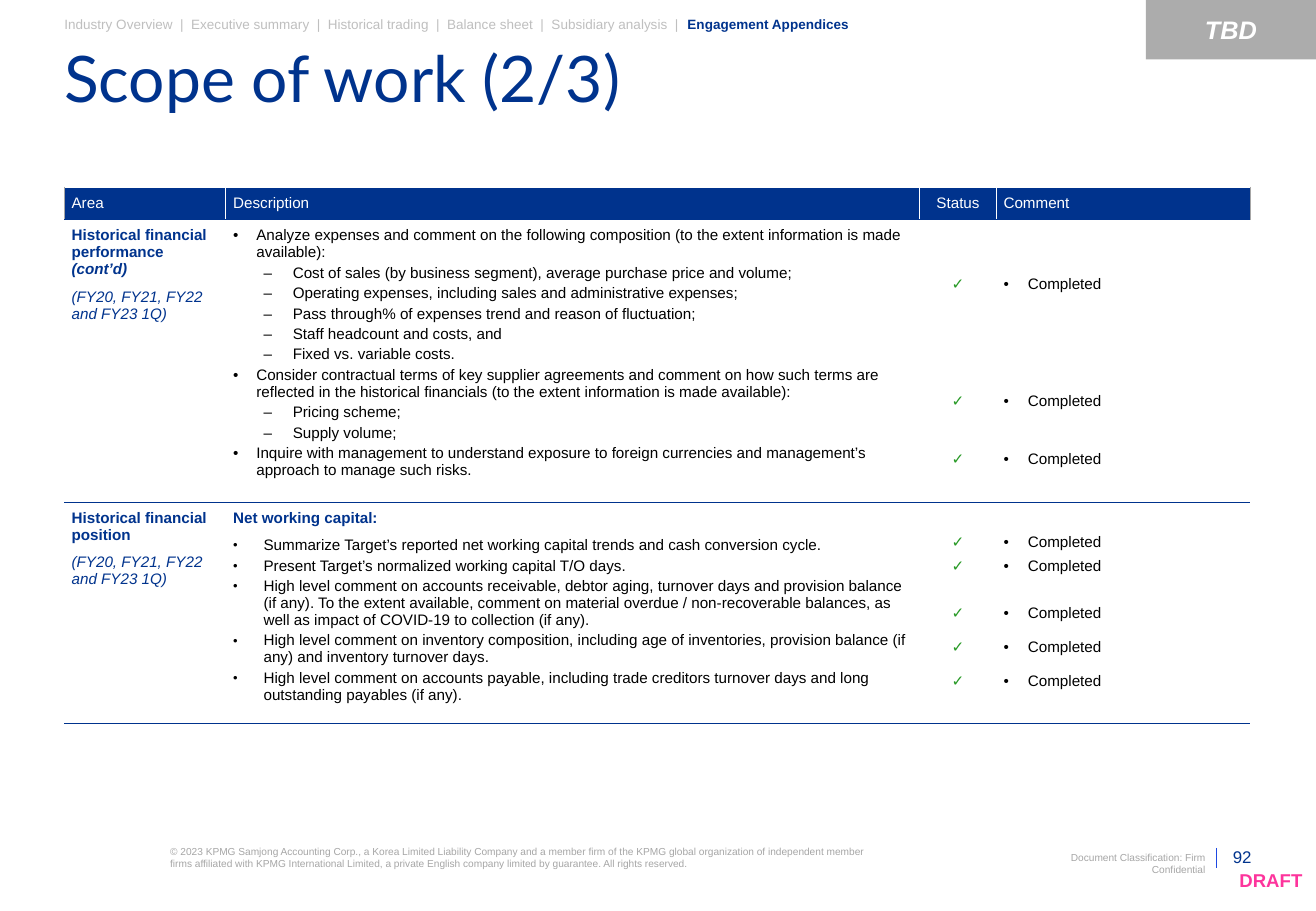
from lxml.etree import SubElement
from pptx import Presentation
from pptx.dml.color import RGBColor as RGB
from pptx.enum.shapes import MSO_CONNECTOR as LINE, MSO_SHAPE as SHAPE
from pptx.enum.text import MSO_ANCHOR as ANCHOR, PP_ALIGN as ALIGN
from pptx.oxml import parse_xml
from pptx.oxml.ns import nsdecls, qn
from pptx.util import Emu, Inches, Pt

THEME = {
    "body": "Arial", "heading": "Lato",
    "navy": "00338D", "blue": "1E49E2", "pink": "FD349C", "green": "269924",
    "black": "000000", "white": "FFFFFF", "badge": "ACACAC", "muted": "A6A6A6", "faded": "BFBFBF",
    "title": 38, "tag": 15, "draft": 11, "page": 10, "table": 9, "nav": 8, "small": 6,
}

deck = Presentation()
deck.slide_width, deck.slide_height = Inches(10.83), Inches(7.5)
slide = deck.slides.add_slide(deck.slide_layouts[6])


def grid(*shares):
    """Turn percentages of slide width and height, in turn, into lengths."""
    sides = (deck.slide_width, deck.slide_height)
    return [Emu(round(share * sides[i % 2] / 100)) for i, share in enumerate(shares)]


def style(run, size, color, bold=False, italic=False, face="body"):
    run.font.name, run.font.size = THEME[face], Pt(THEME[size])
    run.font.color.rgb = RGB.from_string(THEME[color])
    run.font.bold, run.font.italic = bold, italic


# Footer, title and section trail: place, text, size, colour, face, bold, align, anchor, spacing, wrap
COPYRIGHT = ("© 2023 KPMG Samjong Accounting Corp., a Korea Limited Liability Company and a member firm "
             "of the KPMG global organization of independent member firms affiliated with KPMG "
             "International Limited, a private English company limited by guarantee. All rights reserved.")
TRAIL = ("Industry Overview  |  Executive summary  |  Historical trading  |  Balance sheet  |  "
         "Subsidiary analysis  |  ")
labels = [
    ((92.61, 93.07, 2.49, 2.13), "92", "page", "navy", "body", False, ALIGN.RIGHT, ANCHOR.BOTTOM, 1, True),
    ((78.12, 93.47, 13.48, 1.33), "Document Classification: Firm Confidential", "small", "muted", "body",
     False, ALIGN.RIGHT, ANCHOR.TOP, 1, False),
    ((12.93, 92.8, 54.57, 2.67), COPYRIGHT, "small", "muted", "body", False, ALIGN.LEFT, ANCHOR.TOP, 1, True),
    ((92.98, 95.07, 6, 3.6), "DRAFT", "draft", "pink", "body", True, ALIGN.RIGHT, ANCHOR.MIDDLE, 0.8, True),
    ((4.89, 6.53, 90.03, 10.53), "Scope of work (2/3)", "title", "navy", "heading",
     False, ALIGN.LEFT, ANCHOR.TOP, 0.7, True),
    ((4.89, 1.6, 80.98, 1.87), TRAIL, "nav", "faded", "body", False, ALIGN.LEFT, ANCHOR.TOP, 1.1, True),
]
for place, text, size, color, face, bold, align, anchor, spacing, wrap in labels:
    frame = slide.shapes.add_textbox(*grid(*place)).text_frame
    frame.margin_left = frame.margin_right = frame.margin_top = frame.margin_bottom = 0
    frame.word_wrap, frame.vertical_anchor = wrap, anchor
    frame.text = text
    line = frame.paragraphs[0]
    line.alignment, line.line_spacing = align, spacing
    style(line.runs[0], size, color, bold, face=face)
    if text == TRAIL:
        current_section = line.add_run()
        current_section.text = "Engagement Appendices"
        style(current_section, size, "navy", True)

# Bar before the page number
bar = slide.shapes.add_connector(LINE.STRAIGHT, *grid(92.43, 93.07, 92.43, 95.33))
bar.line.color.rgb, bar.line.width = RGB.from_string(THEME["blue"]), Pt(0.5)
SubElement(bar._element.spPr, qn("a:effectLst"))

# Scope table: each body line is (kind, text, space before)
PERIOD = "(FY20, FY21, FY22 and FY23 1Q)"
performance = [
    ("point", "Analyze expenses and comment on the following composition (to the extent information is "
              "made available):", 0),
    ("dash", "Cost of sales (by business segment), average purchase price and volume;", 0),
    ("dash", "Operating expenses, including sales and administrative expenses;", 0),
    ("dash", "Pass through% of expenses trend and reason of fluctuation;", 0),
    ("dash", "Staff headcount and costs, and", 0),
    ("dash", "Fixed vs. variable costs.", 0),
    ("point", "Consider contractual terms of key supplier agreements and comment on how such terms are "
              "reflected in the historical financials (to the extent information is made available):", 0),
    ("dash", "Pricing scheme;", 0),
    ("dash", "Supply volume;", 0),
    ("point", "Inquire with management to understand exposure to foreign currencies and management’s "
              "approach to manage such risks.", 0),
]
position = [("area", "Net working capital:", 0)] + [("task", text, 0) for text in (
    "Summarize Target’s reported net working capital trends and cash conversion cycle.",
    "Present Target’s normalized working capital T/O days.",
    "High level comment on accounts receivable, debtor aging, turnover days and provision balance "
    "(if any). To the extent available, comment on material overdue / non-recoverable balances, as well "
    "as impact of COVID-19 to collection (if any).",
    "High level comment on inventory composition, including age of inventories, provision balance "
    "(if any) and inventory turnover days.",
    "High level comment on accounts payable, including trade creditors turnover days and long "
    "outstanding payables (if any).",
)]
# Area, description, top inset of the status marks, gaps before each mark
sections = [
    ("Historical financial performance ", performance, 0.46, (0, 55.5, 20)),
    ("Historical financial position", position, 0.26, (0, 0, 14, 6, 6)),
]
rows = [[[("head", name, 0)] for name in ("Area", "Description", "Status", "Comment")]]
for area, tasks, inset, gaps in sections:
    rows.append([[("area", area, 0), ("period", PERIOD, 0)], tasks,
                 [("mark", "✓", gap) for gap in gaps], [("comment", "Completed", gap) for gap in gaps]])
insets = [0.06] + [section[2] for section in sections]

# Kind: colour, bold, italic, space after, hanging indent start, hang, bullet, bullet size
kinds = {
    "head": ("white", False, False, 6, 0, 0, None, 100),
    "area": ("navy", True, False, 6, 0, 0, None, 100),
    "period": ("navy", False, True, 6, 0, 0, None, 100),
    "point": ("black", False, False, 2, 0.19, 0.19, "•", 100),
    "dash": ("black", False, False, 2, 0.49, 0.24, "‒", 100),
    "task": ("black", False, False, 2, 0.25, 0.25, "•", 85),
    "mark": ("green", False, False, 4, 0, 0, None, 100),
    "comment": ("black", False, False, 4, 0.2, 0.2, "•", 100),
}
widths, heights = (12.28, 52.72, 5.82, 19.3), (3.6, 29.33, 23.07)
scope = slide.shapes.add_table(3, 4, *grid(4.89, 20.53, sum(widths), sum(heights))).table
scope.first_row = scope.horz_banding = False
for column, width in zip(scope.columns, widths):
    column.width = grid(width)[0]
for row, height in zip(scope.rows, heights):
    row.height = grid(0, height)[1]

for r, row in enumerate(rows):
    for c, lines in enumerate(row):
        cell = scope.cell(r, c)
        cell.margin_left = cell.margin_right = cell.margin_bottom = Inches(0.06)
        cell.margin_top = Inches(insets[r] if c > 1 else 0.06)
        cell.vertical_anchor = ANCHOR.TOP if r else ANCHOR.MIDDLE
        cell.fill.solid()
        cell.fill.fore_color.rgb = RGB.from_string(THEME["white" if r else "navy"])

        # Borders: side, colour, width
        edge, divider, rule = ("muted", 0.25), ("white", 0.75), ("navy", 0.75)
        borders = [("L", *(divider if c else edge)), ("R", *(divider if c < 3 else edge)),
                   ("T", "white", 0.25), ("B", *rule)]
        if r:
            borders = [("L", None, 0), ("R", None, 0), ("T", *rule), ("B", *rule)]
        for i, (side, color, width) in enumerate(borders):
            paint = f'<a:solidFill><a:srgbClr val="{THEME[color]}"/></a:solidFill>' if color else "<a:noFill/>"
            cell._tc.tcPr.insert(i, parse_xml(
                f'<a:ln{side} {nsdecls("a")} w="{Pt(width)}">{paint}</a:ln{side}>'))

        cell.text_frame.text = "\n".join(text for _, text, _ in lines)
        for line, (kind, text, gap) in zip(cell.text_frame.paragraphs, lines):
            color, bold, italic, after, start, hang, bullet, bullet_size = kinds[kind]
            layout = line._p.get_or_add_pPr()
            layout.set("marL", str(Inches(start)))
            layout.set("indent", str(-Inches(hang)))
            if bullet:
                SubElement(layout, qn("a:buSzPct")).set("val", str(bullet_size * 1000))
                SubElement(layout, qn("a:buFont")).set("typeface", THEME["body"])
                SubElement(layout, qn("a:buChar")).set("char", bullet)
            line.alignment = ALIGN.CENTER if c == 2 else ALIGN.LEFT
            line.space_after = Pt(after)
            if gap:
                line.space_before = Pt(gap)
            if kind == "head":
                line.line_spacing = 0.97
            style(line.runs[0], "table", color, bold, italic)

continued = scope.cell(1, 0).text_frame.paragraphs[0].add_run()
continued.text = "(cont’d)"
style(continued, "table", "navy", True, True)

# Corner badge
badge = slide.shapes.add_shape(SHAPE.RECTANGLE, *grid(87.07, 0, 12.93, 6.53))
badge.shadow.inherit = False
badge.fill.solid()
badge.fill.fore_color.rgb = RGB.from_string(THEME["badge"])
badge.line.fill.background()
badge.text_frame.text = "TBD"
badge.text_frame.vertical_anchor = ANCHOR.MIDDLE
badge.text_frame.paragraphs[0].alignment = ALIGN.CENTER
style(badge.text_frame.paragraphs[0].runs[0], "tag", "white", True, True)

deck.save("out.pptx")
